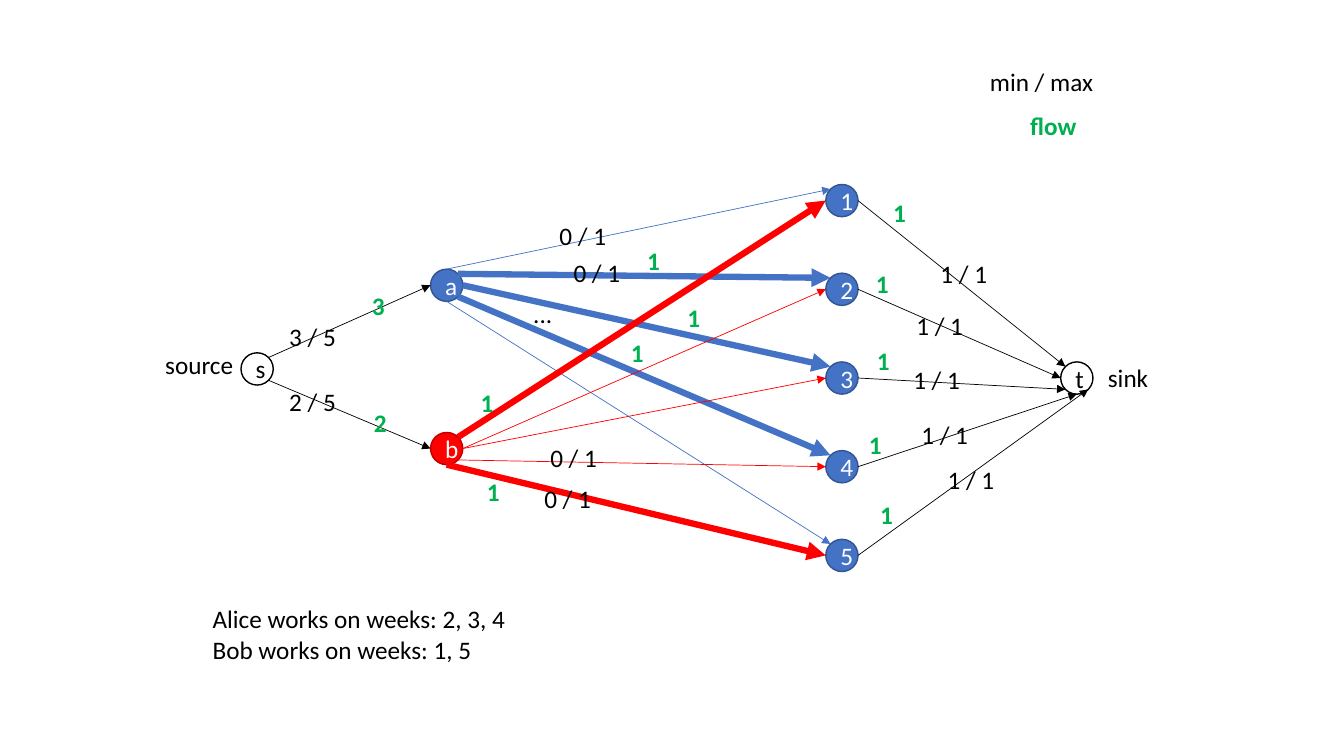
from math import cos, radians, sin

from lxml.etree import SubElement
from pptx import Presentation
from pptx.dml.color import RGBColor
from pptx.enum.shapes import MSO_CONNECTOR, MSO_SHAPE
from pptx.enum.text import MSO_ANCHOR, PP_ALIGN
from pptx.oxml.ns import qn
from pptx.util import Pt

PX = 9144
NODE = 32
TEXT_H = 40
LABEL_W = 67
WEEK_GAP = 88
COLORS = {
    "black": "000000",
    "white": "FFFFFF",
    "alice": "4472C4",
    "week_line": "325491",
    "bob": "FF0000",
    "bob_line": "C00000",
    "flow": "00B050",
}
TOP, TOP_LEFT, LEFT, BOTTOM_LEFT, BOTTOM, BOTTOM_RIGHT, RIGHT, TOP_RIGHT = range(8)


def emu(*lengths):
    return [round(n * PX) for n in lengths]


def rgb(name):
    return RGBColor.from_string(COLORS[name])


def style(p, color, bold=False):
    for r in p.runs:
        r.font.size = Pt(18)
        r.font.name = "Calibri"
        r.font.bold = bold
        r.font.color.rgb = rgb(color)


def add_text(s, x, y, w, text, color="black", bold=False, wrap=True, h=TEXT_H):
    tf = s.shapes.add_textbox(*emu(x, y, w, h)).text_frame
    tf.word_wrap = wrap
    tf.text = text
    for p in tf.paragraphs:
        style(p, color, bold)


def add_node(s, x, y, text, fill, line, color):
    sp = s.shapes.add_shape(MSO_SHAPE.OVAL, *emu(x, y, NODE, NODE))
    sp.shadow.inherit = False
    if fill:
        sp.fill.solid()
        sp.fill.fore_color.rgb = rgb(fill)
    else:
        sp.fill.background()
    sp.line.color.rgb = rgb(line)
    sp.line.width = Pt(1)
    tf = sp.text_frame
    tf.vertical_anchor = MSO_ANCHOR.MIDDLE
    tf.text = text
    p = tf.paragraphs[0]
    p.alignment = PP_ALIGN.CENTER
    style(p, color)


def site_point(node, site):
    x, y = node
    radius = NODE / 2
    angle = radians(45 * site)
    return x + radius - radius * sin(angle), y + radius - radius * cos(angle)


def add_edge(s, start, start_site, end, end_site, color="black", width=0.5):
    points = site_point(start, start_site) + site_point(end, end_site)
    cn = s.shapes.add_connector(MSO_CONNECTOR.STRAIGHT, *emu(*points))
    cn.line.color.rgb = rgb(color)
    cn.line.width = Pt(width)
    SubElement(cn.line._get_or_add_ln(), qn("a:tailEnd"), type="triangle")
    SubElement(cn._element.spPr, qn("a:effectLst"))


def add_network(s, left, top):
    source = (left + 85, top + 167)
    alice = (left + 273, top + 84)
    bob = (left + 273, top + 246)
    sink = (left + 898, top + 176)
    weeks = [(left + 665, top + WEEK_GAP * i) for i in range(5)]

    add_node(s, *alice, "a", "alice", "week_line", "white")
    add_node(s, *bob, "b", "bob", "bob_line", "white")
    add_node(s, *source, "s", None, "black", "black")
    add_node(s, *sink, "t", None, "black", "black")
    for i, week in enumerate(weeks, 1):
        add_node(s, *week, str(i), "alice", "week_line", "white")

    alice_sites = [TOP, TOP_RIGHT, RIGHT, BOTTOM_RIGHT, BOTTOM]
    bob_sites = [TOP_RIGHT, RIGHT, RIGHT, BOTTOM_RIGHT, BOTTOM]
    workers = [
        (alice, alice_sites, TOP_LEFT, "alice", {2, 3, 4}),
        (bob, bob_sites, LEFT, "bob", {1, 5}),
    ]
    for worker, sites, end_site, color, assigned in workers:
        for i, (week, site) in enumerate(zip(weeks, sites), 1):
            width = 4.5 if i in assigned else 0.5
            add_edge(s, worker, site, week, end_site, color, width)
    add_edge(s, source, TOP_RIGHT, alice, LEFT)
    add_edge(s, source, BOTTOM_RIGHT, bob, LEFT)
    sink_sites = [TOP_LEFT, LEFT, BOTTOM_LEFT, BOTTOM, BOTTOM_RIGHT]
    for week, site in zip(weeks, sink_sites):
        add_edge(s, week, RIGHT, sink, site)

    add_text(s, left, top + 159, 90, "source")
    add_text(s, left + 935, top + 172, 90, "sink")
    add_text(s, left + 365, top + 108, 39, "...", wrap=False)
    capacities = {
        "3 / 5": [(123, 131)],
        "2 / 5": [(123, 195)],
        "0 / 1": [(391, 31), (405, 67), (376, 292), (382, 251)],
        "1 / 1": [(769, 68), (745, 120), (742, 174), (750, 228), (776, 273)],
    }
    for text, places in capacities.items():
        for x, y in places:
            add_text(s, left + x, top + y, LABEL_W, text, wrap=False)
    flows = {
        "1": [(478, 55), (518, 112), (462, 147), (313, 196), (319, 285),
              (722, 8), (705, 78), (706, 155), (698, 238), (709, 307)],
        "3": [(205, 100)],
        "2": [(207, 216)],
    }
    for text, places in flows.items():
        for x, y in places:
            add_text(s, left + x, top + y, LABEL_W, text, "flow", True)


def add_legend(s, left, top):
    add_text(s, left, top, 124, "min / max", wrap=False)
    add_text(s, left + 40, top + 44, LABEL_W, "flow", "flow", True)


def add_schedule(s, left, top, width, height):
    text = "Alice works on weeks: 2, 3, 4\nBob works on weeks: 1, 5"
    add_text(s, left, top, width, text, h=height)


def main():
    prs = Presentation()
    prs.slide_width, prs.slide_height = emu(1333, 750)
    s = prs.slides.add_slide(prs.slide_layouts[6])
    add_network(s, 154, 183)
    add_legend(s, 972, 61)
    add_schedule(s, 201, 594, 405, 71)
    prs.save("out.pptx")


if __name__ == "__main__":
    main()
